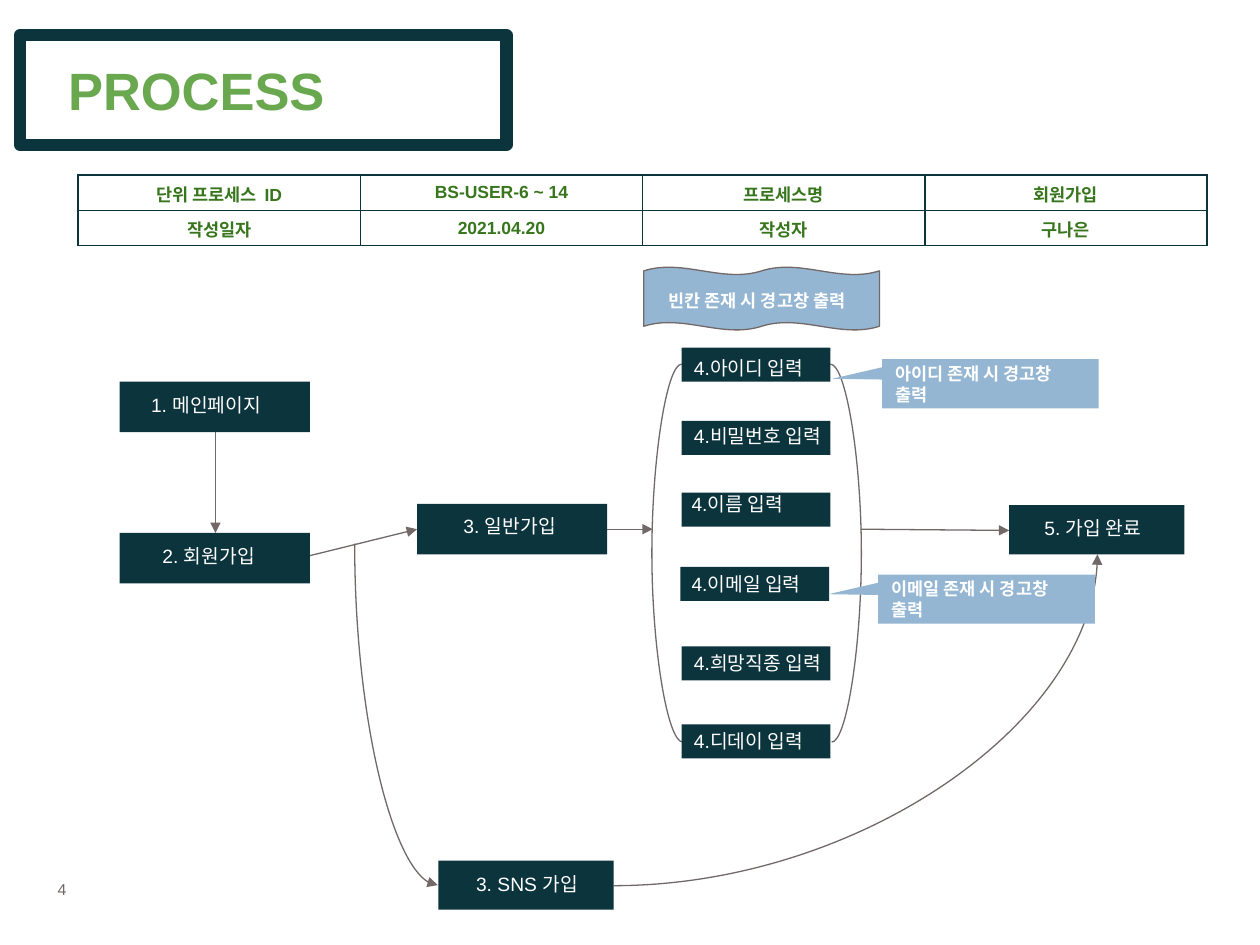
"""Builds the sign-up process flow slide."""
from pptx import Presentation
from pptx.dml.color import RGBColor
from pptx.enum.shapes import MSO_CONNECTOR, MSO_SHAPE
from pptx.enum.text import MSO_ANCHOR, MSO_AUTO_SIZE, PP_ALIGN
from pptx.oxml import parse_xml
from pptx.oxml.ns import nsdecls
from pptx.oxml.xmlchemy import OxmlElement
from pptx.util import Pt

PX = 9144
NAVY = RGBColor(0x0C, 0x34, 0x3D)
GREEN = RGBColor(0x6A, 0xA8, 0x4F)
DARK_GREEN = RGBColor(0x38, 0x76, 0x1D)
BLUE = RGBColor(0x94, 0xB6, 0xD2)
GRAY = RGBColor(0x72, 0x68, 0x68)
NUMBER_GRAY = RGBColor(0x71, 0x67, 0x67)
WHITE = RGBColor(0xFF, 0xFF, 0xFF)
RECT, CALLOUT, WAVE = MSO_SHAPE.RECTANGLE, MSO_SHAPE.RECTANGULAR_CALLOUT, MSO_SHAPE.DOUBLE_WAVE
STRAIGHT, CURVE = MSO_CONNECTOR.STRAIGHT, MSO_CONNECTOR.CURVE
MIDDLE, LEFT, CENTER = MSO_ANCHOR.MIDDLE, PP_ALIGN.LEFT, PP_ALIGN.CENTER
NO_FIT = MSO_AUTO_SIZE.NONE

TITLE = {"name": "Arial", "size": Pt(30), "bold": True}
STEP = {"name": "Arial", "size": Pt(11), "bold": False}
NOTE = {"name": "Arial", "size": Pt(10), "bold": True}
NUMBER = {"name": "Arial", "size": Pt(9), "bold": False}


def px(*values):
    """Turn px lengths into EMU."""
    return [v * PX for v in values]


class Deck:
    """Holds the presentation, its style and the current slide."""

    def __init__(self, width, height):
        self.prs = Presentation()
        self.prs.slide_width, self.prs.slide_height = px(width, height)
        self.s = self.prs.slides.add_slide(self.prs.slide_layouts[5])

    def put_lines(self, tf, text, style, color, align=LEFT):
        """Fill a text frame, one paragraph per line."""
        for i, line in enumerate(text.split("\n")):
            p = tf.add_paragraph() if i else tf.paragraphs[0]
            p.alignment = align
            r = p.add_run()
            r.text = line
            for key, value in style.items():
                setattr(r.font, key, value)
            r.font.color.rgb = color

    def title(self, text, *box):
        """Place the title placeholder."""
        sp = self.s.shapes.title
        for key, value in zip(("left", "top", "width", "height"), px(*box)):
            setattr(sp, key, value)
        tf = sp.text_frame
        for key, value in {"auto_size": NO_FIT, "vertical_anchor": MIDDLE}.items():
            setattr(tf, key, value)
        self.put_lines(tf, text, TITLE, GREEN)

    def text(self, text, style, color, *box):
        """Add a wrapped text box."""
        tf = self.s.shapes.add_textbox(*px(*box)).text_frame
        tf.word_wrap = True
        self.put_lines(tf, text, style, color)

    def shape(self, kind, box, fill=None, line=None, weight=0.75, adj=()):
        """Add a preset shape with optional fill and outline."""
        sp = self.s.shapes.add_shape(kind, *px(*box))
        sp.shadow.inherit = False
        for i, value in enumerate(adj):
            sp.adjustments[i] = value
        for fmt, color in ((sp.fill, fill), (sp.line.fill, line)):
            if color is None:
                fmt.background()
            else:
                fmt.solid()
                fmt.fore_color.rgb = color
        if line is not None:
            sp.line.width = Pt(weight)

    def step(self, text, box, label):
        """Add a process box and its label."""
        self.shape(RECT, box, NAVY)
        self.text(text, STEP, WHITE, *label)

    def callout(self, text, x, y):
        """Add a warning callout."""
        self.shape(CALLOUT, (x, y, 172, 39), BLUE, adj=(-0.73, -0.1))
        self.text(text, NOTE, WHITE, x + 1, y - 2, 176, 44)

    def connector(self, kind, *ends, arrow=True, preset=None, bend=None, turn=0):
        """Add a line or curve, optionally with an arrowhead."""
        c = self.s.shapes.add_connector(kind, *px(*ends))
        c.line.width = Pt(0.75)
        c.line.color.rgb = GRAY
        spPr = c._element.spPr
        if arrow:
            tail = OxmlElement("a:tailEnd")
            tail.set("type", "triangle")
            spPr.get_or_add_ln().append(tail)
        if preset:
            spPr.prstGeom.set("prst", preset)
        if bend is not None:
            gd = OxmlElement("a:gd")
            gd.set("name", "adj1")
            gd.set("fmla", f"val {bend * 100000}")
            spPr.prstGeom.get_or_add_avLst().append(gd)
        if turn:
            spPr.xfrm.set("rot", str(turn * 60000))
        spPr.append(OxmlElement("a:effectLst"))

    def table(self, rows, x, y, col_w, row_h):
        """Add a bordered table with centred text."""
        n, m = len(rows), len(rows[0])
        tbl = self.s.shapes.add_table(n, m, *px(x, y, col_w * m, row_h * n)).table
        tbl.first_row = tbl.horz_banding = False
        for row, texts in zip(tbl.rows, rows):
            row.height = row_h * PX
            for cell, text in zip(row.cells, texts):
                self.put_lines(cell.text_frame, text, NOTE, DARK_GREEN, CENTER)
                cell.vertical_anchor = MIDDLE
                tcPr = cell._tc.get_or_add_tcPr()
                for side in "LRTB":
                    tcPr.append(parse_xml(
                        f'<a:ln{side} {nsdecls("a")} w="{int(Pt(1))}"><a:solidFill>'
                        f'<a:srgbClr val="{NAVY}"/></a:solidFill></a:ln{side}>'))
                cell.fill.background()


def main():
    """Build and save the slide."""
    d = Deck(1000, 750)
    d.text("4", NUMBER, NUMBER_GRAY, 36, 693, 52, 25)
    d.shape(RECT, (16, 28, 386, 87), line=NAVY, weight=7)
    d.title("PROCESS", 44, 8, 717, 126)
    d.table([("단위 프로세스  ID", "BS-USER-6 ~ 14", "프로세스명", "회원가입"),
             ("작성일자", "2021.04.20", "작성자", "구나은")], 62, 139, 224, 28)

    d.connector(STRAIGHT, 171, 343, 171, 423)
    d.connector(STRAIGHT, 246, 441, 331, 420)
    d.connector(STRAIGHT, 482, 420, 518, 420)
    d.connector(STRAIGHT, 683, 420, 801, 421)
    for x, bend in ((541, -24), (659, 25)):
        d.connector(CURVE, x, 289, x + 1, 589, arrow=False, bend=bend)
    d.connector(CURVE, 487, 703, 871, 440, preset="curvedConnector2")
    d.connector(CURVE, 450, 534, 179, 600, preset="curvedConnector2", turn=270)

    for text, box, label in (
            ("1. 메인페이지", (95, 303, 151, 40), (110, 307, 172, 29)),
            ("2. 회원가입", (95, 423, 151, 40), (119, 427, 157, 29)),
            ("3. 일반가입", (331, 400, 151, 40), (358, 403, 154, 29)),
            ("3. SNS 가입", (348, 683, 139, 39), (368, 687, 163, 29)),
            ("5. 가입 완료", (801, 401, 139, 39), (819, 405, 206, 29))):
        d.step(text, box, label)
    for field, x, y, label_x, label_y in (
            ("아이디", 541, 276, 541, 278), ("비밀번호", 541, 334, 541, 332),
            ("이름", 541, 391, 539, 386), ("이메일", 540, 450, 539, 449),
            ("희망직종", 541, 513, 541, 512), ("디데이", 541, 575, 541, 574)):
        d.step(f"4.{field} 입력", (x, y, 118, 27), (label_x, label_y, 206, 29))

    d.shape(WAVE, (511, 212, 187, 50), BLUE, GRAY, adj=(0.06, 0))
    d.text("빈칸 존재 시 경고창 출력", NOTE, WHITE, 521, 225, 191, 27)
    for field, x, y in (("아이디", 700, 285), ("이메일", 697, 456)):
        d.callout(f"{field} 존재 시 경고창\n출력", x, y)
    d.prs.save("out.pptx")


if __name__ == "__main__":
    main()
